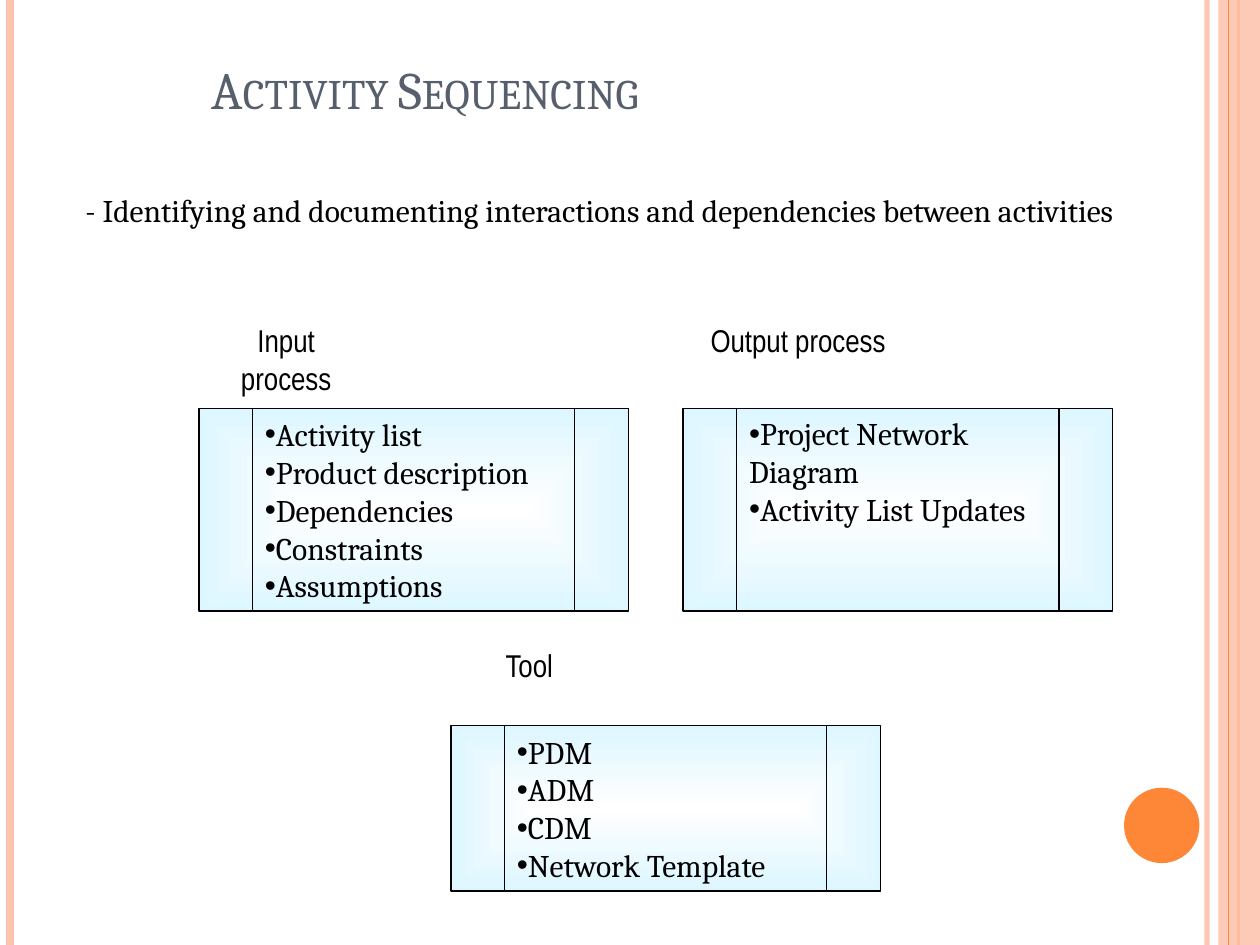
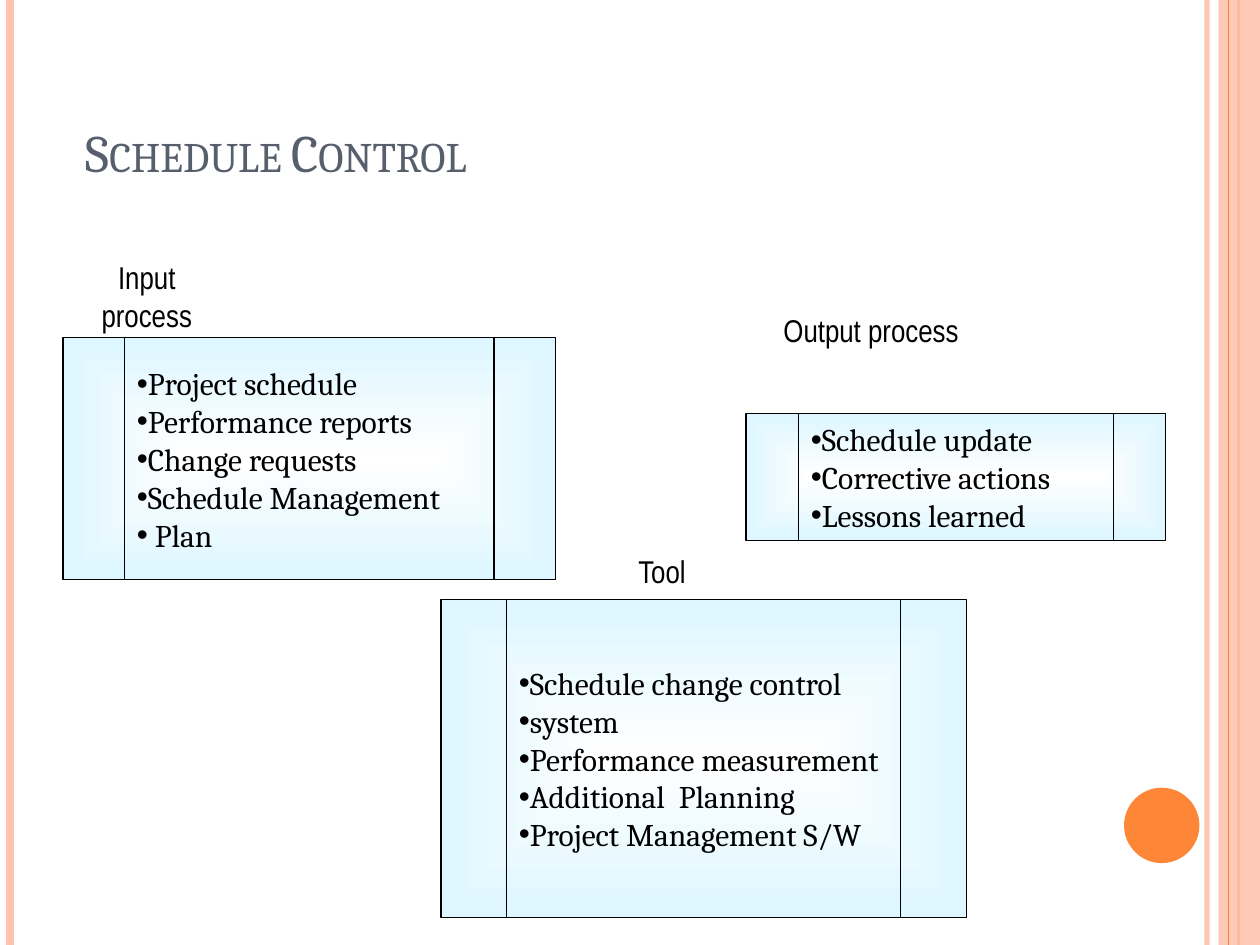
from lxml.etree import SubElement
from pptx import Presentation
from pptx.dml.color import RGBColor
from pptx.enum.shapes import MSO_CONNECTOR, MSO_SHAPE
from pptx.enum.text import MSO_ANCHOR, PP_ALIGN
from pptx.oxml.ns import qn
from pptx.util import Cm, Pt

COLORS = {
    "peach": "FEC3AE",
    "orange": "FE8637",
    "title": "575F6D",
    "text": "000000",
    "box_center": "FFFFFF",
    "box_edge": "DDF6FF",
}
SERIF, NARROW = "Cambria", "Arial Narrow"


def color(name):
    return RGBColor.from_string(COLORS[name])


def format_text(frame, font, size, color_name="text"):
    for paragraph in frame.paragraphs:
        for run in paragraph.runs:
            run.font.name = font
            run.font.size = Pt(size)
            run.font.color.rgb = color(color_name)


# Content: places are left, top, width, height in cm
SLIDES = [
    {
        "title": "Activity Sequencing",
        "title_place": (4.01, 0.64, 16.94, 3.18),
        "title_bottom": 1.4,
        "summary": "- Identifying and documenting interactions and "
                   "dependencies between activities",
        "processes": [
            ("Input process", (4.22, 6.35, 3.1, 1.73),
             (4.01, 8.23, 8.66, 4.09), MSO_ANCHOR.MIDDLE,
             ["Activity list", "Product description", "Dependencies",
              "Constraints", "Assumptions"]),
            ("Output process", (13.97, 6.35, 4.24, 1.73),
             (13.77, 8.23, 8.66, 4.09), MSO_ANCHOR.TOP,
             ["Project Network Diagram", "Activity List Updates"]),
            ("Tool", (9.3, 12.9, 2.74, 1.27),
             (9.09, 14.63, 8.66, 3.33), MSO_ANCHOR.MIDDLE,
             ["PDM", "ADM", "CDM", "Network Template"]),
        ],
    },
    {
        "title": "Schedule Control",
        "title_place": (1.47, 0.64, 21.39, 3.18),
        "title_bottom": 0.13,
        "summary": None,
        "processes": [
            ("Input process", (1.27, 5.08, 3.38, 1.93),
             (1.27, 6.81, 9.93, 4.88), MSO_ANCHOR.MIDDLE,
             ["Project schedule", "Performance reports", "Change requests",
              "Schedule Management", " Plan"]),
            ("Output process", (15.44, 6.15, 4.24, 1.93),
             (15.04, 8.33, 8.46, 2.57), MSO_ANCHOR.MIDDLE,
             ["Schedule update", "Corrective actions", "Lessons learned"]),
            ("Tool", (11.86, 11, 2.97, 1.27),
             (8.89, 12.09, 10.59, 6.4), MSO_ANCHOR.MIDDLE,
             ["Schedule change control", "system", "Performance measurement",
              "Additional  Planning", "Project Management S/W"]),
        ],
    },
]

prs = Presentation()
prs.slide_width, prs.slide_height = Cm(25.4), Cm(19.05)
title_only = prs.slide_layouts[5]
slides = [prs.slides.add_slide(title_only) for _ in SLIDES]

# Side stripes, band and circle, drawn once and moved to the layout
shapes = slides[0].shapes
decorations = []
for x, stripe_color, width, opacity in [
    (24.33, "peach", 3, 93),
    (0.2, "peach", 4.5, 100),
    (24.97, "orange", 1.5, 100),
    (24.77, "orange", 0.75, 100),
]:
    stripe = shapes.add_connector(
        MSO_CONNECTOR.STRAIGHT, Cm(x), 0, Cm(x), prs.slide_height)
    stripe.line.color.rgb = color(stripe_color)
    stripe.line.width = Pt(width)
    SubElement(stripe.element.spPr, qn("a:effectLst"))
    decorations.append((stripe, opacity))

for preset, place, fill_color, opacity in [
    (MSO_SHAPE.RECTANGLE, (24.56, 0, 0.84, 19.05), "peach", 87),
    (MSO_SHAPE.OVAL, (22.66, 15.88, 1.52, 1.52), "orange", 100),
]:
    ornament = shapes.add_shape(preset, *map(Cm, place))
    ornament.shadow.inherit = False
    ornament.fill.solid()
    ornament.fill.fore_color.rgb = color(fill_color)
    ornament.line.fill.background()
    decorations.append((ornament, opacity))

# The band lies under the last thin stripe
decorations.insert(3, decorations.pop(4))
for index, (decoration, opacity) in enumerate(decorations):
    element = decoration.element
    if opacity < 100:
        tint = element.spPr.find(".//" + qn("a:srgbClr"))
        SubElement(tint, qn("a:alpha"), val=str(opacity * 1000))
    element.xpath(".//p:cNvPr")[0].set("id", str(100 + index))
    title_only.shapes.element.insert(2 + index, element)

for slide, content in zip(slides, SLIDES):
    # Title in small capitals
    title = slide.shapes.title
    title.left, title.top, title.width, title.height = map(
        Cm, content["title_place"])
    heading = title.text_frame
    heading.text = content["title"]
    heading.vertical_anchor = MSO_ANCHOR.BOTTOM
    heading.margin_bottom = Cm(content["title_bottom"])
    heading.paragraphs[0].alignment = PP_ALIGN.LEFT
    format_text(heading, SERIF, 30, "title")
    heading.paragraphs[0].runs[0].font._element.set("cap", "small")

    # Process boxes with bullet lists
    for label, label_place, box_place, anchor, items in content["processes"]:
        process = slide.shapes.add_shape(
            MSO_SHAPE.FLOWCHART_PREDEFINED_PROCESS, *map(Cm, box_place))
        process.shadow.inherit = False
        process.line.color.rgb = color("text")
        process.line.width = Pt(0.75)
        process.fill.gradient()
        for stop, position, stop_color in zip(
                process.fill.gradient_stops, (0, 1), ("box_center", "box_edge")):
            stop.position = position
            stop.color.rgb = color(stop_color)
        gradient = process.element.spPr.find(qn("a:gradFill"))
        gradient.remove(gradient.find(qn("a:lin")))
        glow = SubElement(gradient, qn("a:path"), {"path": "shape"})
        SubElement(glow, qn("a:fillToRect"),
                   {side: "50000" for side in "ltrb"})

        bullets = process.text_frame
        bullets.word_wrap = True
        bullets.vertical_anchor = anchor
        bullets.text = "\n".join(items)
        for item in bullets.paragraphs:
            item.alignment = PP_ALIGN.LEFT
            properties = item._p.get_or_add_pPr()
            SubElement(properties, qn("a:buFont"), typeface="Arial")
            SubElement(properties, qn("a:buChar"), char="•")
        format_text(bullets, SERIF, 18)

        # Outlined label above the box
        caption = slide.shapes.add_textbox(*map(Cm, label_place)).text_frame
        caption.word_wrap = False
        caption.text = label
        caption.paragraphs[0].alignment = PP_ALIGN.CENTER
        format_text(caption, NARROW, 18)
        run_properties = caption.paragraphs[0].runs[0].font._element
        outline = SubElement(run_properties, qn("a:ln"), w=str(Pt(0.75)))
        outline_fill = SubElement(outline, qn("a:solidFill"))
        SubElement(outline_fill, qn("a:srgbClr"), val=COLORS["text"])
        run_properties.insert(0, outline)

    # Summary line under the title
    if content["summary"]:
        summary = slide.shapes.add_textbox(
            Cm(1.47), Cm(2.97), Cm(22.43), Cm(3.3)).text_frame
        summary.word_wrap = True
        summary.margin_top = Cm(0.89)
        summary.text = content["summary"]
        format_text(summary, SERIF, 18)

prs.save("out.pptx")
